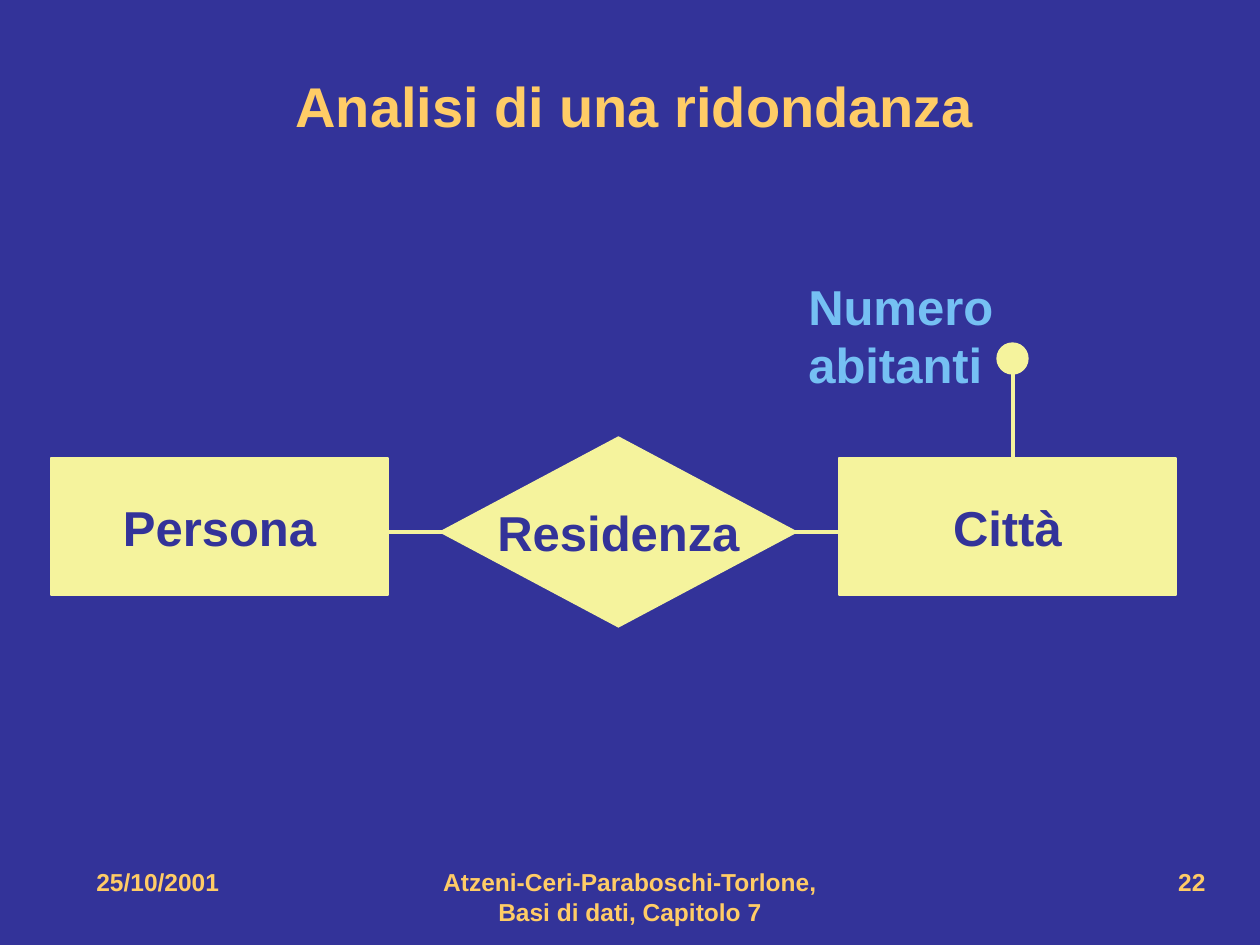
from lxml.etree import SubElement
from pptx import Presentation
from pptx.dml.color import RGBColor
from pptx.enum.shapes import MSO_CONNECTOR, MSO_SHAPE
from pptx.enum.text import MSO_ANCHOR, PP_ALIGN
from pptx.oxml.ns import qn
from pptx.util import Pt

PX = 7257.6
NAVY, CREAM, GOLD, SKY = "333399", "F5F39D", "FFCC66", "75C0F3"

LINKS = [(345, 532, 861, 532), (1013, 373, 1013, 467)]
NODES = [
    (MSO_SHAPE.DIAMOND, (440, 437, 357, 190), "Residenza"),
    (MSO_SHAPE.RECTANGLE, (51, 458, 337, 137), "Persona"),
    (MSO_SHAPE.RECTANGLE, (839, 458, 337, 137), "Città"),
    (MSO_SHAPE.OVAL, (997, 343, 31, 31), ""),
]
LABELS = [
    ("Analisi di una ridondanza", (63, 32, 1144, 147), 32, GOLD, PP_ALIGN.CENTER, MSO_ANCHOR.MIDDLE, True),
    ("Numero abitanti", (796, 270, 397, 72), 28, SKY, PP_ALIGN.LEFT, MSO_ANCHOR.TOP, False),
    ("Atzeni-Ceri-Paraboschi-Torlone, Basi di dati, Capitolo 7", (430, 861, 400, 63), 14, GOLD,
     PP_ALIGN.CENTER, MSO_ANCHOR.TOP, True),
    ("22", (903, 861, 315, 63), 14, GOLD, PP_ALIGN.RIGHT, MSO_ANCHOR.TOP, True),
    ("25/10/2001", (84, 861, 273, 63), 14, GOLD, PP_ALIGN.LEFT, MSO_ANCHOR.TOP, True),
]


def emu(*lengths):
    return [round(length * PX) for length in lengths]


def paint(fill, color):
    fill.solid()
    fill.fore_color.rgb = RGBColor.from_string(color)


def write(shape, text, size, color, align, anchor, wrap):
    frame = shape.text_frame
    frame.word_wrap = wrap
    frame.vertical_anchor = anchor
    paragraph = frame.paragraphs[0]
    paragraph.alignment = align
    run = paragraph.add_run()
    run.text = text
    run.font.name, run.font.size, run.font.bold = "Arial", Pt(size), True
    paint(run.font.fill, color)


def add_link(shapes, ends):
    link = shapes.add_connector(MSO_CONNECTOR.STRAIGHT, *emu(*ends))
    paint(link.line.fill, CREAM)
    link.line.width = Pt(2.25)
    SubElement(link._element.spPr, qn("a:effectLst"))


def add_node(shapes, kind, box, text):
    node = shapes.add_shape(kind, *emu(*box))
    node.shadow.inherit = False
    paint(node.fill, CREAM)
    paint(node.line.fill, CREAM)
    node.line.width = Pt(0.75)
    if text:
        write(node, text, 28, NAVY, PP_ALIGN.CENTER, MSO_ANCHOR.MIDDLE, False)


def main():
    """Build the entity-relationship slide about a redundant attribute."""
    deck = Presentation()
    deck.slide_width, deck.slide_height = emu(1260, 945)
    slide = deck.slides.add_slide(deck.slide_layouts[6])
    paint(slide.background.fill, NAVY)
    for ends in LINKS:
        add_link(slide.shapes, ends)
    for kind, box, text in NODES:
        add_node(slide.shapes, kind, box, text)
    for text, box, *style in LABELS:
        write(slide.shapes.add_textbox(*emu(*box)), text, *style)
    deck.save("out.pptx")


if __name__ == "__main__":
    main()
